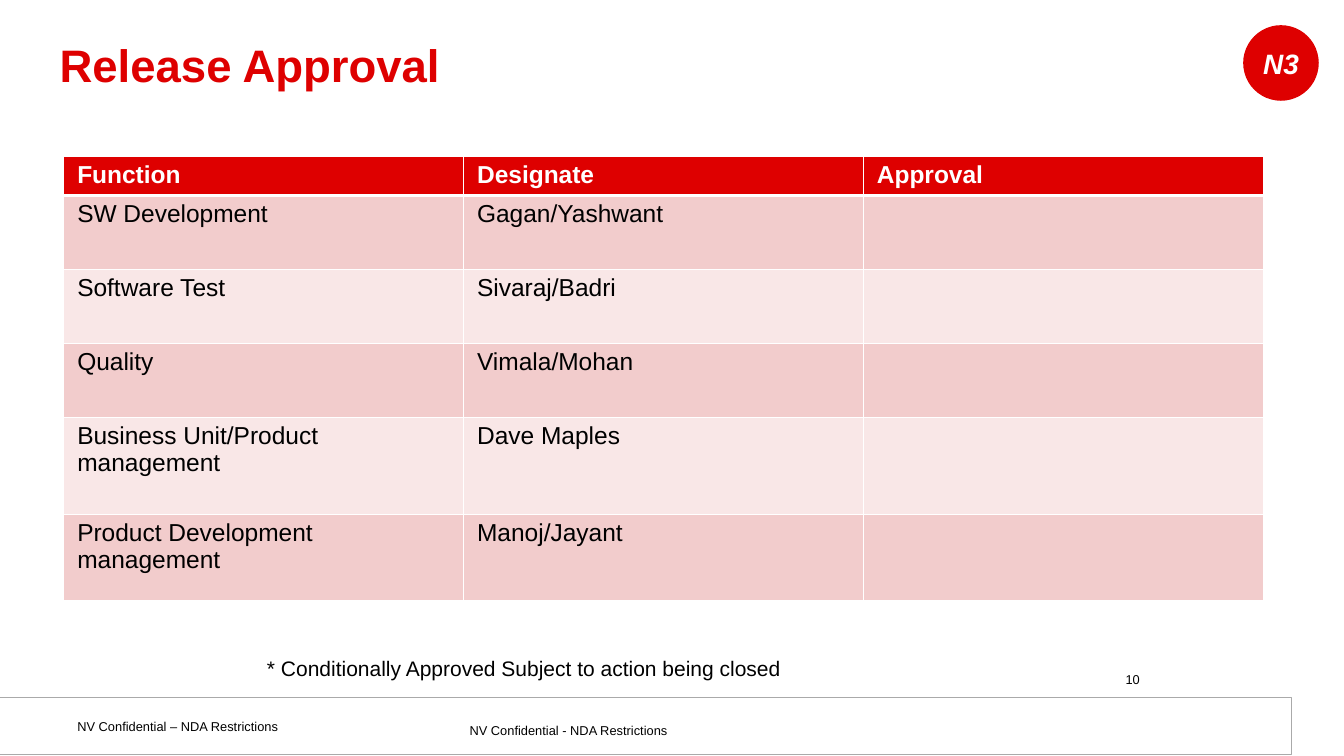
from lxml import etree
from pptx import Presentation
from pptx.dml.color import RGBColor
from pptx.enum.shapes import MSO_SHAPE
from pptx.enum.text import MSO_ANCHOR, PP_ALIGN
from pptx.oxml.ns import qn
from pptx.util import Inches, Pt

RED, WHITE, BLACK, GREY = "DE0000", "FFFFFF", "000000", "AAAAAA"
BANDS = ("F2CCCC", "F9E7E7")

APPROVALS = [
    ("Function", "Designate", "Approval"),
    ("SW Development", "Gagan/Yashwant", ""),
    ("Software Test", "Sivaraj/Badri", ""),
    ("Quality", "Vimala/Mohan", ""),
    ("Business Unit/Product management", "Dave Maples", ""),
    ("Product Development management", "Manoj/Jayant", ""),
]
ROW_HEIGHTS = (0.46, 0.88, 0.88, 0.88, 1.15, 1.03)
COLUMN_WIDTH = 4.76


def colour(value):
    return RGBColor.from_string(value)


def set_margins(target, side, top):
    margins = {"margin_left": side, "margin_right": side,
               "margin_top": top, "margin_bottom": top}
    for name, value in margins.items():
        setattr(target, name, Inches(value))


def write(frame, text, size, text_colour=BLACK, align=PP_ALIGN.LEFT, **styles):
    paragraph = frame.paragraphs[0]
    paragraph.alignment = align
    run = paragraph.add_run()
    run.text = text
    font_format = {"name": "Arial", "size": Pt(size), **styles}
    for name, value in font_format.items():
        setattr(run.font, name, value)
    run.font.color.rgb = colour(text_colour)
    return paragraph


def add_panel(slide, kind, box, fill, line=None):
    panel = slide.shapes.add_shape(kind, *map(Inches, box))
    panel.shadow.inherit = False
    panel.fill.solid()
    panel.fill.fore_color.rgb = colour(fill)
    if line:
        panel.line.color.rgb = colour(line)
        panel.line.width = Pt(0.75)
    else:
        panel.line.fill.background()
    return panel


def add_label(slide, box, text, size, margins=(0.14, 0.07), wrap=True,
              anchor=MSO_ANCHOR.TOP, **styles):
    frame = slide.shapes.add_textbox(*map(Inches, box)).text_frame
    frame.word_wrap = wrap
    frame.vertical_anchor = anchor
    set_margins(frame, *margins)
    return write(frame, text, size, **styles)


def add_borders(cell, widths):
    properties = cell._tc.get_or_add_tcPr()
    for side, width in widths.items():
        border = etree.SubElement(properties, qn(f"a:{side}"), w=str(Pt(width)))
        fill = etree.SubElement(border, qn("a:solidFill"))
        etree.SubElement(fill, qn("a:srgbClr"), val=WHITE)


def add_approval_table(slide):
    frame = slide.shapes.add_table(
        len(APPROVALS), len(APPROVALS[0]), Inches(0.76), Inches(1.86),
        Inches(COLUMN_WIDTH * len(APPROVALS[0])), Inches(sum(ROW_HEIGHTS)))
    table = frame.table
    for column in table.columns:
        column.width = Inches(COLUMN_WIDTH)
    for r, (entries, height) in enumerate(zip(APPROVALS, ROW_HEIGHTS)):
        table.rows[r].height = Inches(height)
        header = r == 0
        for c, entry in enumerate(entries):
            cell = table.cell(r, c)
            set_margins(cell, 0.16, 0.06)
            add_borders(cell, {"lnL": 1, "lnR": 1, "lnT": 3 if r == 1 else 1,
                               "lnB": 3 if header else 1})
            cell.fill.solid()
            cell.fill.fore_color.rgb = colour(RED if header else BANDS[(r - 1) % 2])
            if entry:
                write(cell.text_frame, entry, 21, WHITE if header else BLACK,
                      bold=header)


def main():
    deck = Presentation()
    deck.slide_width, deck.slide_height = Inches(16), Inches(9)
    slide = deck.slides.add_slide(deck.slide_layouts[6])

    # Footer band
    add_panel(slide, MSO_SHAPE.RECTANGLE, (0.07, 8.3, 15.29, 0.6), WHITE)
    add_panel(slide, MSO_SHAPE.RECTANGLE, (-0.03, 8.3, 15.4, 0.68), WHITE, GREY)
    add_label(slide, (0.79, 8.48, 3.69, 0.32),
              "NV Confidential – NDA Restrictions", 11, (0.13, 0.07))

    # Badge
    badge = add_panel(slide, MSO_SHAPE.OVAL, (14.8, 0.3, 0.9, 0.9), RED)
    badge.text_frame.vertical_anchor = MSO_ANCHOR.MIDDLE
    badge.text_frame.word_wrap = False
    write(badge.text_frame, "N3", 24, WHITE, PP_ALIGN.CENTER, bold=True, italic=True)

    # Title
    title = add_label(slide, (0.58, 0.17, 14.8, 1.3), "Release Approval", 39,
                      (0.13, 0.07), anchor=MSO_ANCHOR.MIDDLE,
                      text_colour=RED, bold=True)
    title.line_spacing = 0.85

    # Footer text and page number
    add_label(slide, (5.45, 8.53, 5.07, 0.27),
              "NV Confidential - NDA Restrictions", 11)
    add_label(slide, (11.62, 7.93, 3.73, 0.27), "10", 11, align=PP_ALIGN.CENTER)

    # Approvals and their condition
    add_approval_table(slide)
    add_label(slide, (3.08, 7.75, 6.37, 0.4),
              "* Conditionally Approved Subject to action being closed", 18,
              (0.1, 0.05), wrap=False)

    deck.save("out.pptx")


if __name__ == "__main__":
    main()
